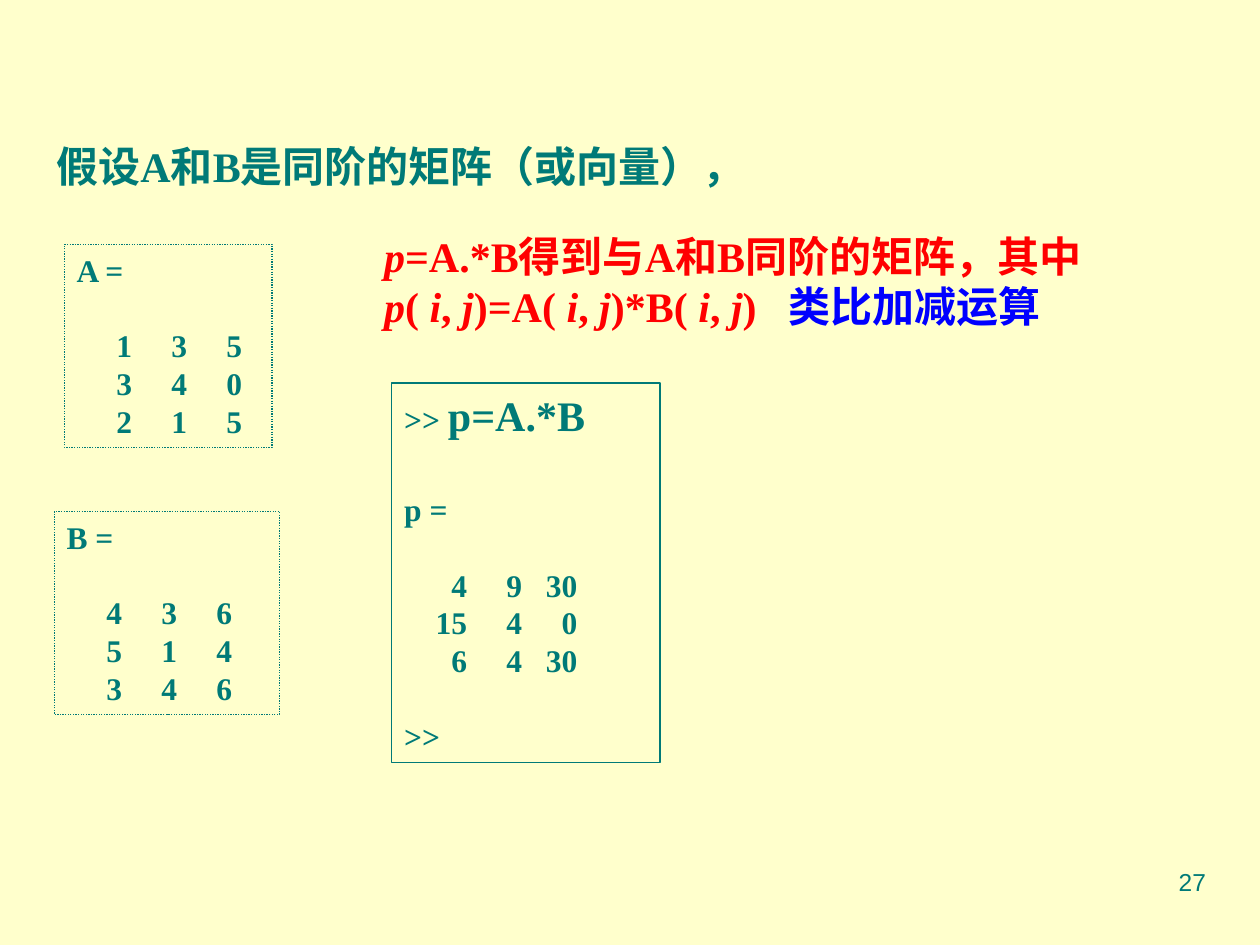
"""Build a slide that explains element-wise multiplication of matrices."""
import pptx
import pptx.dml.color
import pptx.enum.dml
import pptx.enum.shapes
import pptx.enum.text
import pptx.oxml
import pptx.oxml.ns
import pptx.util

Inches = pptx.util.Inches
Pt = pptx.util.Pt
RGBColor = pptx.dml.color.RGBColor
qn = pptx.oxml.ns.qn
Align = pptx.enum.text.PP_ALIGN

TEAL = RGBColor(0x00, 0x7A, 0x77)
RED = RGBColor(0xFF, 0x00, 0x00)
BLUE = RGBColor(0x00, 0x00, 0xFF)
CREAM = RGBColor(0xFF, 0xFF, 0xCC)
SERIF, SANS, CJK = "Times New Roman", "Arial", "Noto Sans CJK SC"


def add_run(p, text, size=18, color=TEAL, font=SERIF, bold=True, italic=False):
    r = p.add_run()
    r.text = text
    r.font.size = Pt(size)
    r.font.name = font
    r.font.bold = bold
    r.font.italic = italic
    r.font.color.rgb = color
    ea = r._r.get_or_add_rPr().makeelement(qn("a:ea"), {"typeface": CJK})
    r._r.rPr.append(ea)
    return r


class SlideBuilder:
    def __init__(self, prs):
        self.slide = prs.slides.add_slide(prs.slide_layouts[6])
        fill = self.slide.background.fill
        fill.solid()
        fill.fore_color.rgb = CREAM

    def text_box(self, x, y, w, h):
        sp = self.slide.shapes.add_textbox(*map(Inches, (x, y, w, h)))
        sp.text_frame.word_wrap = True
        return sp.text_frame

    def frame(self, x, y, w, h, dash=None):
        rect = pptx.enum.shapes.MSO_SHAPE.RECTANGLE
        sp = self.slide.shapes.add_shape(rect, *map(Inches, (x, y, w, h)))
        sp.shadow.inherit = False
        sp.fill.background()
        sp.line.color.rgb = TEAL
        sp.line.width = Pt(0.75)
        if dash:
            sp.line.dash_style = dash
        tf = sp.text_frame
        tf.word_wrap = True
        tf.vertical_anchor = pptx.enum.text.MSO_ANCHOR.TOP
        return tf

    def paragraph(self, tf, size=18, before=0, tabs=(), tab_align="r", align=Align.LEFT):
        p = tf.paragraphs[0] if not tf.paragraphs[0].runs else tf.add_paragraph()
        p.alignment = align
        p.line_spacing = Pt(size * 1.2)
        if before:
            p.space_before = Pt(before)
        if tabs:
            pPr = p._p.get_or_add_pPr()
            tab_list = pPr.makeelement(qn("a:tabLst"), {})
            for pos in tabs:
                attrs = {"pos": str(Inches(pos)), "algn": tab_align}
                tab_list.append(tab_list.makeelement(qn("a:tab"), attrs))
            pPr.append(tab_list)
        return p

    def matrix(self, tf, name, rows, first_stop=0.44, before=0):
        add_run(self.paragraph(tf, before=before), f"{name} =")
        stops = [first_stop + 0.437 * i for i in range(len(rows[0]))]
        for i, row in enumerate(rows):
            p = self.paragraph(tf, before=0 if i else 21.6, tabs=stops)
            add_run(p, "".join(f"\t{value}" for value in row))


def main():
    prs = pptx.Presentation()
    prs.slide_width, prs.slide_height = Inches(10), Inches(7.5)
    s = SlideBuilder(prs)

    p = s.paragraph(s.text_box(7.17, 6.83, 2.5, 0.52), size=14, align=Align.RIGHT)
    add_run(p, "27", size=14, font=SANS, bold=False)

    p = s.paragraph(s.text_box(0.35, 1.07, 6.14, 0.5), size=24)
    add_run(p, "假设A和B是同阶的矩阵（或向量），", size=24)

    dots = pptx.enum.dml.MSO_LINE.ROUND_DOT
    s.matrix(s.frame(0.51, 1.94, 1.65, 1.61, dots), "A",
             [(1, 3, 5), (3, 4, 0), (2, 1, 5)])
    s.matrix(s.frame(0.43, 4.06, 1.79, 1.61, dots), "B",
             [(4, 3, 6), (5, 1, 4), (3, 4, 6)])

    tf = s.text_box(2.95, 1.78, 5.99, 0.91)
    p = s.paragraph(tf, size=24)
    add_run(p, "p", size=24, color=RED, italic=True)
    add_run(p, "=A.*B得到与A和B同阶的矩阵，其中", size=24, color=RED)
    p = s.paragraph(tf, size=24, tabs=[3.21], tab_align="l")
    formula = "p|( |i|, |j|)=A( |i|, |j|)*B( |i|, |j|)"
    for i, part in enumerate(formula.split("|")):
        add_run(p, part, size=24, color=RED, italic=i % 2 == 0)
    add_run(p, "\t类比加减运算", size=24, color=BLUE)

    tf = s.frame(3.11, 3.04, 2.13, 3.01)
    p = s.paragraph(tf, size=24)
    add_run(p, ">> ")
    add_run(p, "p=A.*B", size=24)
    s.matrix(tf, "p", [(4, 9, 30), (15, 4, 0), (6, 4, 30)], first_stop=0.5, before=28.8)
    add_run(s.paragraph(tf, before=21.6), ">>")

    prs.save("out.pptx")


if __name__ == "__main__":
    main()
